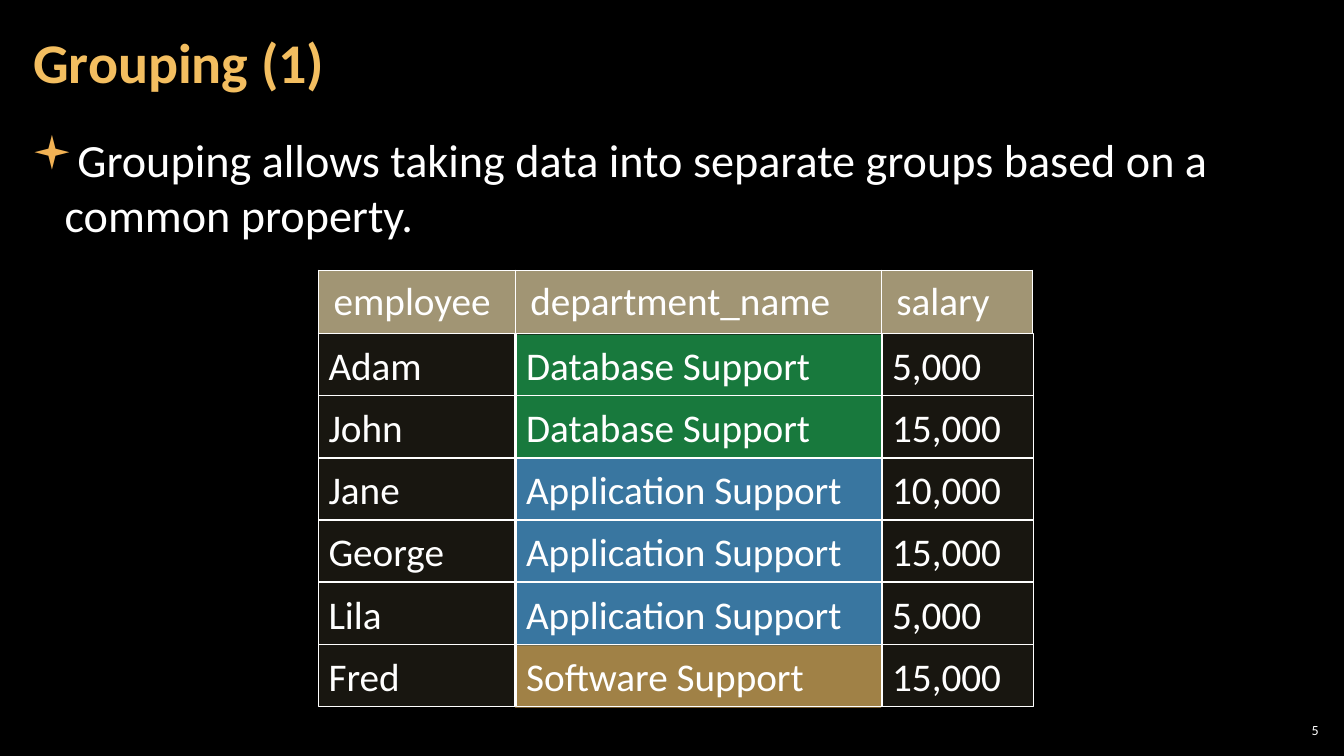
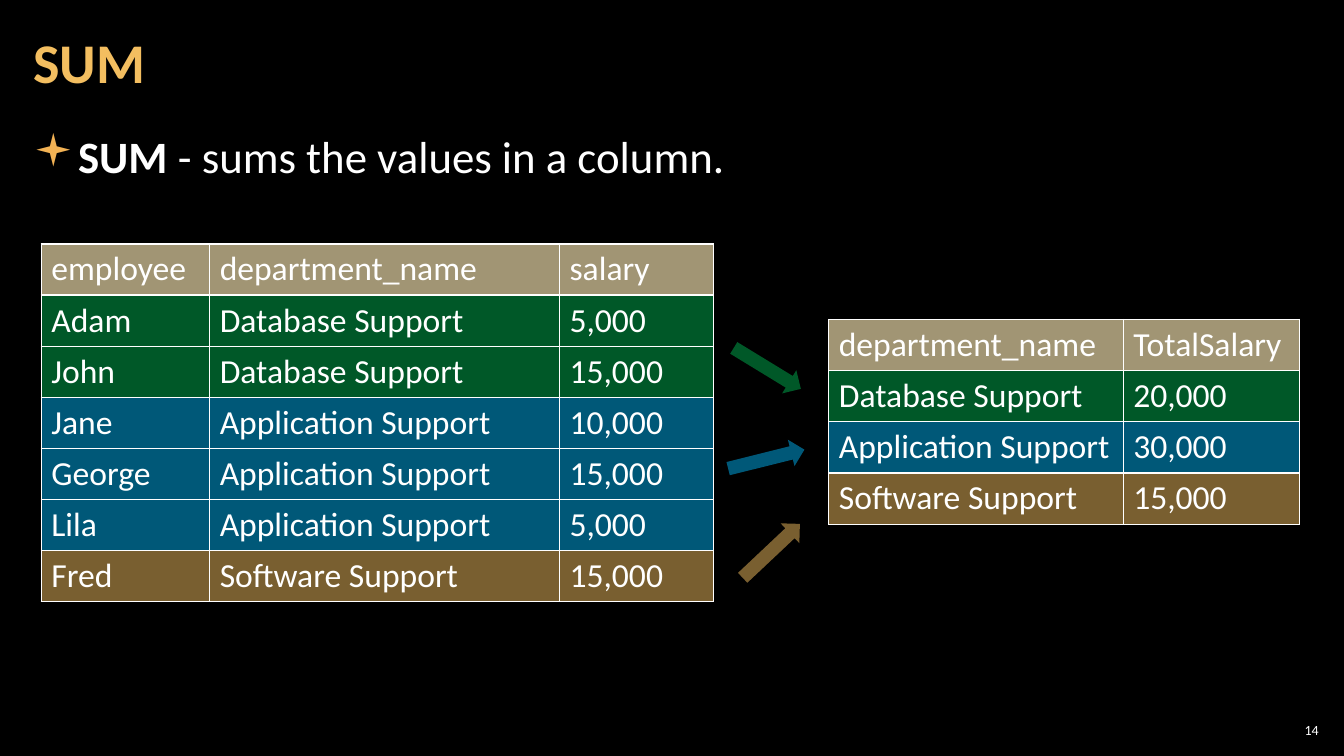
from dataclasses import dataclass
from itertools import groupby

from lxml import etree
from pptx import Presentation
from pptx import util as u
from pptx.dml import color as dml
from pptx.enum import shapes, text
from pptx.oxml import ns


@dataclass(frozen=True)
class Theme:
    font: str = "Calibri"
    bullet_font: str = "Wingdings"
    background: str = "000000"
    title: str = "F3BE60"
    bullet: str = "F2B254"
    body: str = "FFFFFF"
    header: str = "A19574"
    veil: str = "7C7154"
    title_size: int = 40
    cell_size: int = 28
    small_cell_size: int = 24
    number_size: int = 10
    border_width: float = 1


THEME = Theme()
TINTS = {
    "Database Support": "00B050",
    "Application Support": "00B0F0",
    "Software Support": "F3BE60",
}
BAND_TINTS = {**TINTS, "Application Support": "3BABFF"}
EMPLOYEES = [
    ("employee", "department_name", "salary"),
    ("Adam", "Database Support", "5,000"),
    ("John", "Database Support", "15,000"),
    ("Jane", "Application Support", "10,000"),
    ("George", "Application Support", "15,000"),
    ("Lila", "Application Support", "5,000"),
    ("Fred", "Software Support", "15,000"),
]
TOTALS = [
    ("department_name", "TotalSalary"),
    ("Database Support", "20,000"),
    ("Application Support", "30,000"),
    ("Software Support", "15,000"),
]
ARROWS = [
    ("Database Support", 7.22, 3.52, 31.4),
    ("Application Support", 7.21, 4.42, 346),
    ("Software Support", 7.26, 5.33, 316.7),
]


def add_element(parent, tag, **attributes):
    return etree.SubElement(parent, ns.qn(tag), attributes)


def paint(fill, color, opacity=100):
    fill.solid()
    fill.fore_color.rgb = dml.RGBColor.from_string(color)
    if opacity < 100:
        swatch = fill._xPr.find(ns.qn("a:solidFill")).find(ns.qn("a:srgbClr"))
        add_element(swatch, "a:alpha", val=str(opacity * 1000))


def write_text(frame, content, *, size, color=THEME.body, bold=False, lead="",
               align=text.PP_ALIGN.LEFT, line_spacing=None):
    para = frame.paragraphs[0]
    para.alignment = align
    para.line_spacing = line_spacing
    for words, weight in ((lead, True), (content, bold)):
        if words:
            span = para.add_run()
            span.text = words
            span.font.name = THEME.font
            span.font.size = u.Pt(size)
            span.font.bold = weight
            span.font.color.rgb = dml.RGBColor.from_string(color)
    return para


def add_text(page, content, left, top, width, height, *, side_inset=0.12,
             anchor=text.MSO_ANCHOR.MIDDLE, **style):
    box = page.shapes.add_textbox(*map(u.Inches, (left, top, width, height)))
    frame = box.text_frame
    frame.word_wrap = True
    frame.vertical_anchor = anchor
    frame.margin_left = frame.margin_right = u.Inches(side_inset)
    frame.margin_top = frame.margin_bottom = u.Inches(0.04)
    return write_text(frame, content, **style)


def add_bullet(page, content, left, top, *, size, lead=""):
    para = add_text(page, content, left, top, 12.91, 6.09, size=size, lead=lead,
                    anchor=text.MSO_ANCHOR.TOP)
    para.space_before = para.space_after = u.Pt(6)
    properties = para._p.get_or_add_pPr()
    properties.set("marL", str(u.Inches(0.33)))
    properties.set("indent", str(-u.Inches(0.33)))
    add_element(add_element(properties, "a:buClr"), "a:srgbClr", val=THEME.bullet)
    add_element(properties, "a:buFont", typeface=THEME.bullet_font, charset="2")
    add_element(properties, "a:buChar", char="▪")


def draw_borders(cell):
    properties = cell._tc.get_or_add_tcPr()
    for side in ("a:lnL", "a:lnR", "a:lnT", "a:lnB"):
        line = add_element(properties, side, w=str(u.Pt(THEME.border_width)))
        add_element(add_element(line, "a:solidFill"), "a:srgbClr", val=THEME.body)


def row_fill(values):
    department = next((item for item in values if item in TINTS), None)
    return (TINTS[department], 50) if department else (THEME.header,)


def add_table(page, rows, left, top, height, widths, *, size, insets=(0.1, 0.05)):
    frame = page.shapes.add_table(
        len(rows), len(widths), *map(u.Inches, (left, top, sum(widths), height)))
    table = frame.table
    table.first_row = table.horz_banding = False
    for column, width in zip(table.columns, widths):
        column.width = u.Inches(width)
    for row, values in zip(table.rows, rows):
        for cell, value in zip(row.cells, values):
            cell.margin_left = cell.margin_right = u.Inches(insets[0])
            cell.margin_top = cell.margin_bottom = u.Inches(insets[1])
            draw_borders(cell)
            paint(cell.fill, *row_fill(values))
            write_text(cell.text_frame, value, size=size)


def add_block(holder, kind, place, color, opacity):
    block = holder.shapes.add_shape(kind, *map(u.Inches, place))
    block.shadow.inherit = False
    block.line.fill.background()
    paint(block.fill, color, opacity)
    return block


def add_bands(page, departments, left, top, width, row_height):
    for department, members in groupby(departments):
        height = len(list(members)) * row_height
        add_block(page, shapes.MSO_SHAPE.RECTANGLE, (left, top, width, height),
                  BAND_TINTS[department], 70)
        top += height


def add_column(page, values, left, top, width, row_height):
    group = page.shapes.add_group_shape()
    for index, value in enumerate(values):
        place = (left, top + index * row_height, width, row_height)
        block = add_block(group, shapes.MSO_SHAPE.RECTANGLE, place, THEME.veil, 20)
        paint(block.line.fill, THEME.body)
        block.line.width = u.Pt(THEME.border_width)
        block.text_frame.word_wrap = True
        block.text_frame.vertical_anchor = text.MSO_ANCHOR.MIDDLE
        write_text(block.text_frame, value, size=THEME.cell_size)


def add_arrow(page, department, left, top, rotation):
    arrow = add_block(page, shapes.MSO_SHAPE.RIGHT_ARROW, (left, top, 0.78, 0.27),
                      TINTS[department], 50)
    arrow.rotation = rotation


def add_page(deck, title, number):
    page = deck.slides.add_slide(deck.slide_layouts[6])
    paint(page.background.fill, THEME.background)
    add_text(page, title, 0.21, 0.04, 10.47, 1.21, size=THEME.title_size,
             color=THEME.title, bold=True, line_spacing=0.9)
    add_text(page, str(number), 12.65, 7.14, 0.47, 0.21, side_inset=0.04,
             size=THEME.number_size, align=text.PP_ALIGN.RIGHT)
    return page


def build_grouping(deck):
    page = add_page(deck, "Grouping (1)", 5)
    header, *records = EMPLOYEES
    names, departments, salaries = zip(*records)
    widths = (1.95, 3.63, 1.5)
    row_height = 3.7 / len(records)
    add_bands(page, departments, 5.11, 3.32, widths[1], row_height)
    add_table(page, [header], 3.16, 2.68, 0.62, widths, size=THEME.cell_size,
              insets=(0.15, 0.08))
    add_bullet(page, "Grouping allows taking data into separate groups based on a "
               "common property.", 0.19, 1.26, size=33)
    columns = (names, departments, salaries)
    for values, left, width in zip(columns, (3.16, 5.12, 8.75), widths):
        add_column(page, values, left, 3.31, width, row_height)


def build_sum(deck):
    page = add_page(deck, "SUM", 14)
    add_table(page, EMPLOYEES, 0.41, 2.42, 3.55, (1.67, 3.47, 1.53),
              size=THEME.small_cell_size)
    add_table(page, TOTALS, 8.22, 3.17, 2.03, (2.92, 1.75), size=THEME.small_cell_size)
    for arrow in ARROWS:
        add_arrow(page, *arrow)
    add_bullet(page, " - sums the values in a column.", 0.21, 1.24, size=32, lead="SUM")


def main():
    deck = Presentation()
    deck.slide_width, deck.slide_height = u.Inches(13.33), u.Inches(7.5)
    build_grouping(deck)
    build_sum(deck)
    deck.save("out.pptx")


if __name__ == "__main__":
    main()
